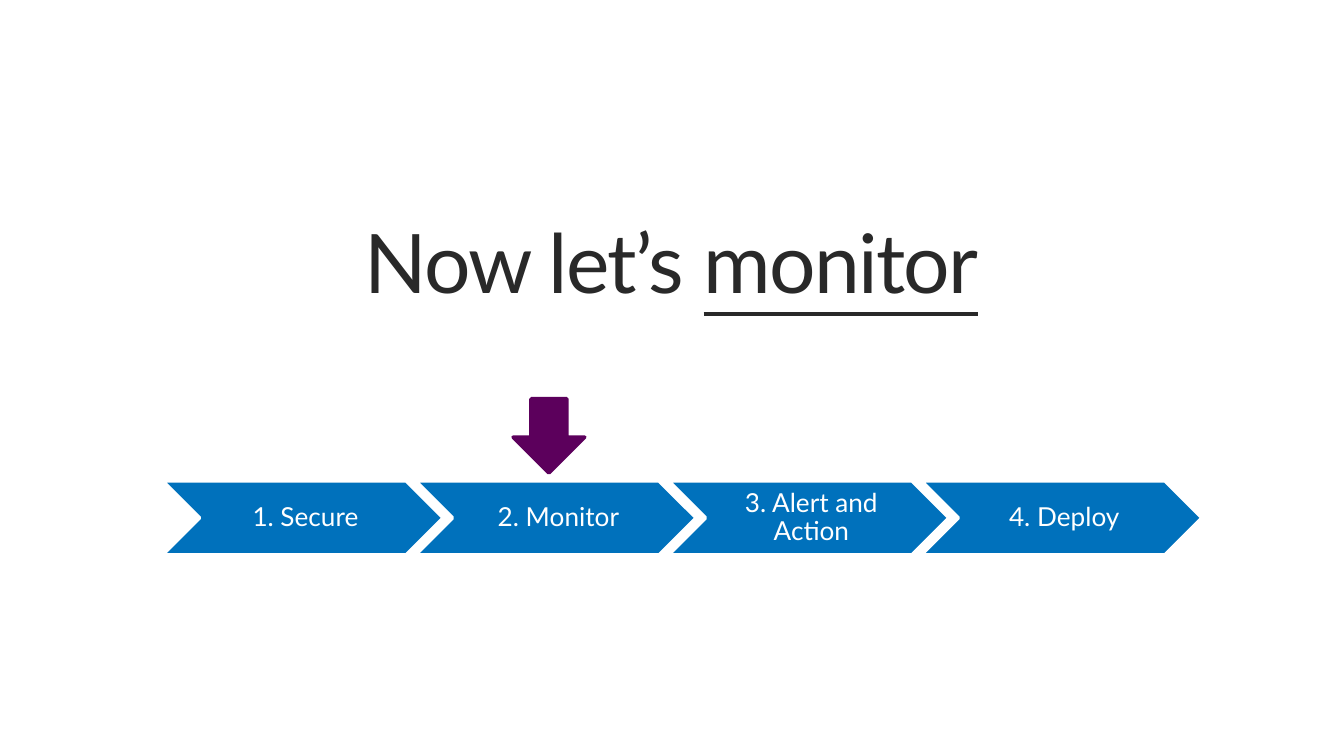
from dataclasses import dataclass

from pptx import Presentation
from pptx import util as u
from pptx.dml.color import RGBColor
from pptx.enum import shapes, text

COLORS = {"ink": "292929", "step": "0071BC", "marker": "5C005C", "white": "FFFFFF"}
FONT = "Lato"
STEP_LEFT, STEP_TOP, STEP_PITCH = 3.07, 9.09, 4.78
STEP_W, STEP_H = 5.31, 1.4


@dataclass
class Box:
    """Position and size in centimetres."""
    left: float
    top: float
    width: float
    height: float

    def lengths(self) -> list:
        return [u.Cm(v) for v in (self.left, self.top, self.width, self.height)]


def rgb(name: str) -> RGBColor:
    return RGBColor.from_string(COLORS[name])


def set_up_frame(tf, left: float, other: float):
    """Centre the text in a wrapping frame and return its first paragraph."""
    tf.word_wrap = True
    tf.vertical_anchor = text.MSO_ANCHOR.MIDDLE
    tf.margin_left = u.Cm(left)
    tf.margin_top = tf.margin_right = tf.margin_bottom = u.Cm(other)
    p = tf.paragraphs[0]
    p.alignment = text.PP_ALIGN.CENTER
    p.line_spacing = 0.9
    return p


def add_run(p, words: str, size: float, color: str):
    r = p.add_run()
    r.text = words
    r.font.name = FONT
    r.font.size = u.Pt(size)
    r.font.color.rgb = rgb(color)
    return r


def add_title(s, box: Box, plain: str, underlined: str) -> None:
    p = set_up_frame(s.shapes.add_textbox(*box.lengths()).text_frame, 0, 0)
    for words, underline in ((plain, None), (underlined, True)):
        r = add_run(p, words, 44, "ink")
        r.font.underline = underline
        r.font._element.set("spc", "-100")


def add_filled(s, kind, box: Box, fill: str, line: str):
    sp = s.shapes.add_shape(kind, *box.lengths())
    sp.shadow.inherit = False
    sp.fill.solid()
    sp.fill.fore_color.rgb = rgb(fill)
    sp.line.color.rgb = rgb(line)
    sp.line.width = u.Pt(2)
    return sp


def add_step(s, index: int, label: str) -> None:
    box = Box(STEP_LEFT + index * STEP_PITCH, STEP_TOP, STEP_W, STEP_H)
    sp = add_filled(s, shapes.MSO_SHAPE.CHEVRON, box, "step", "white")
    add_run(set_up_frame(sp.text_frame, 0.15, 0.05), label, 14, "white")


def main() -> None:
    prs = Presentation()
    prs.slide_width, prs.slide_height = u.Cm(25.4), u.Cm(14.29)
    s = prs.slides.add_slide(prs.slide_layouts[6])
    add_title(s, Box(1.07, 4.19, 23.24, 1.7), "Now let’s ", "monitor")
    steps = ("Secure", "Monitor", "Alert and Action", "Deploy")
    for i, name in enumerate(steps):
        add_step(s, i, f"{i + 1}. {name}")
    add_filled(s, shapes.MSO_SHAPE.DOWN_ARROW, Box(9.7, 7.54, 1.35, 1.4),
               "marker", "marker")
    prs.save("out.pptx")


if __name__ == "__main__":
    main()
